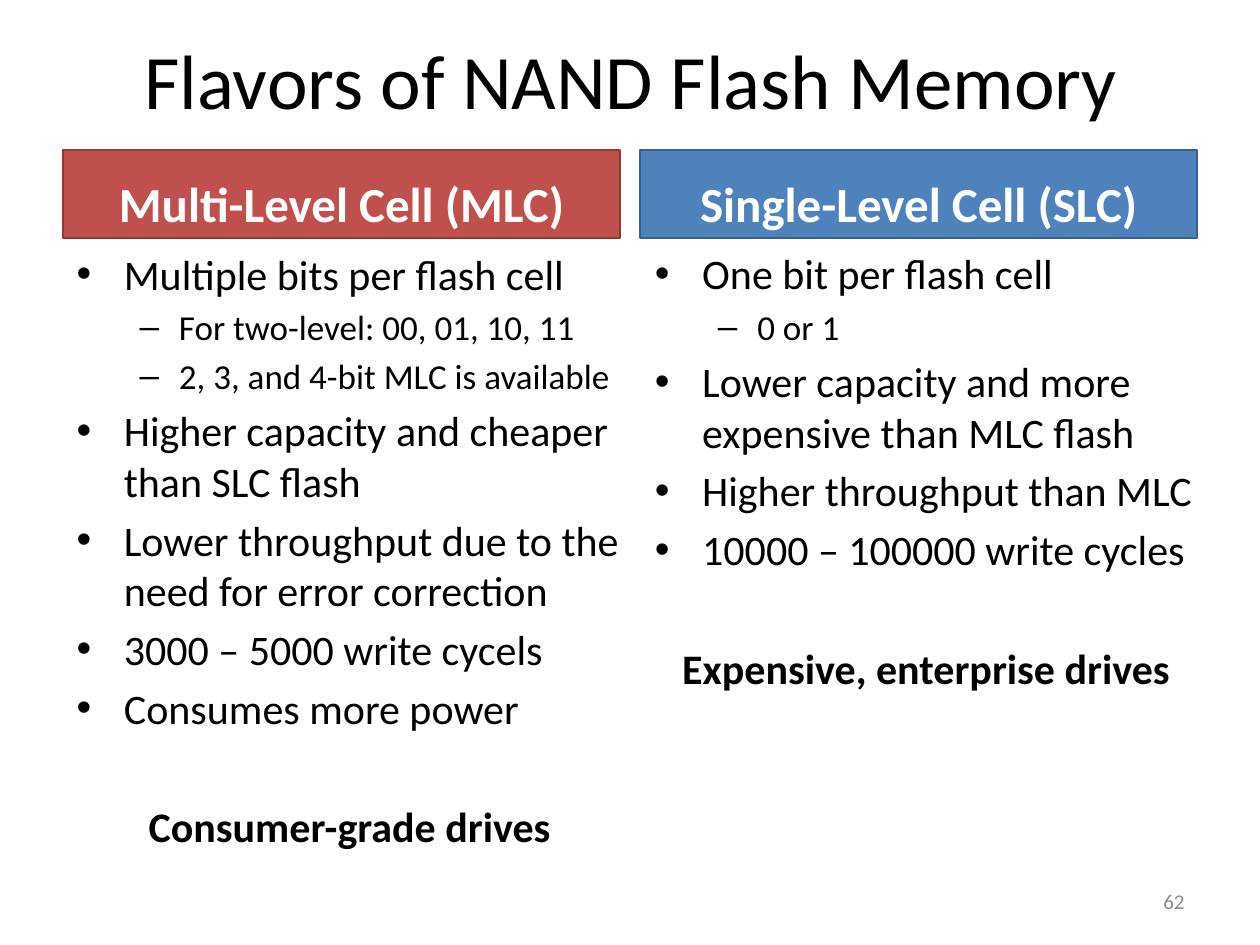
from dataclasses import dataclass

from lxml.etree import SubElement
from pptx import Presentation
from pptx.dml.color import RGBColor
from pptx.enum.shapes import MSO_SHAPE
from pptx.enum.text import MSO_ANCHOR, PP_ALIGN
from pptx.oxml.ns import qn
from pptx.util import Pt

FONT_NAME = "Calibri"
BLACK = RGBColor(0x00, 0x00, 0x00)
WHITE = RGBColor(0xFF, 0xFF, 0xFF)
GRAY = RGBColor(0x8C, 0x8C, 0x8C)
RED = RGBColor(0xC0, 0x50, 0x4D)
DARK_RED = RGBColor(0x95, 0x37, 0x35)
BLUE = RGBColor(0x4F, 0x81, 0xBD)
DARK_BLUE = RGBColor(0x37, 0x60, 0x92)

SPACING_RATIO = 0.2
VERDICT_GAP = 38.9


@dataclass(frozen=True)
class Box:
    left: float
    top: float
    width: float
    height: float

    def lengths(self):
        return Pt(self.left), Pt(self.top), Pt(self.width), Pt(self.height)


@dataclass(frozen=True)
class BulletLevel:
    character: str
    size: float
    margin: float
    hanging: float


@dataclass(frozen=True)
class Column:
    heading: str
    heading_box: Box
    fill: RGBColor
    line: RGBColor
    body_box: Box
    points: tuple[tuple[int, str], ...]
    verdict: str


LEVELS = (BulletLevel("•", 24, 27, 27), BulletLevel("–", 20, 58.5, 22.5))

COLUMNS = (
    Column(
        "Multi-Level Cell (MLC)", Box(36, 85.7, 318.25, 50.4), RED, DARK_RED,
        Box(36.7, 138.2, 326.2, 368.6),
        (
            (0, "Multiple bits per flash cell"),
            (1, "For two-level: 00, 01, 10, 11"),
            (1, "2, 3, and 4-bit MLC is available"),
            (0, "Higher capacity and cheaper than SLC flash"),
            (0, "Lower throughput due to the need for error correction"),
            (0, "3000 – 5000 write cycels"),
            (0, "Consumes more power"),
        ),
        "Consumer-grade drives",
    ),
    Column(
        "Single-Level Cell (SLC)", Box(365.75, 85.7, 318.25, 50.4), BLUE, DARK_BLUE,
        Box(367.2, 138.2, 324, 352),
        (
            (0, "One bit per flash cell"),
            (1, "0 or 1"),
            (0, "Lower capacity and more expensive than MLC flash"),
            (0, "Higher throughput than MLC"),
            (0, "10000 – 100000 write cycles"),
        ),
        "Expensive, enterprise drives",
    ),
)


def write_paragraph(paragraph, text: str, size: float, color: RGBColor = BLACK,
                    alignment: PP_ALIGN = PP_ALIGN.LEFT, bold: bool = False,
                    space_before: float = 0) -> None:
    paragraph.text = text
    paragraph.alignment = alignment
    paragraph.space_before = Pt(space_before)
    font = paragraph.font
    font.name = FONT_NAME
    font.size = Pt(size)
    font.bold = bold
    font.color.rgb = color


def set_bullet(paragraph, level: BulletLevel) -> None:
    properties = paragraph._p.get_or_add_pPr()
    properties.set("marL", str(Pt(level.margin)))
    properties.set("indent", str(-Pt(level.hanging)))
    bullet_font = SubElement(properties, qn("a:buFont"))
    bullet_font.set("typeface", "Arial")
    SubElement(properties, qn("a:buChar")).set("char", level.character)
    # The schema wants the default run properties after the bullet.
    properties.append(properties.find(qn("a:defRPr")))


def add_text_frame(slide, box: Box, anchor: MSO_ANCHOR):
    text_frame = slide.shapes.add_textbox(*box.lengths()).text_frame
    text_frame.word_wrap = True
    text_frame.vertical_anchor = anchor
    return text_frame


def add_heading(slide, column: Column) -> None:
    shape = slide.shapes.add_shape(MSO_SHAPE.RECTANGLE, *column.heading_box.lengths())
    shape.shadow.inherit = False
    shape.fill.solid()
    shape.fill.fore_color.rgb = column.fill
    shape.line.color.rgb = column.line
    shape.line.width = Pt(0.75)
    shape.text_frame.word_wrap = True
    shape.text_frame.vertical_anchor = MSO_ANCHOR.BOTTOM
    write_paragraph(shape.text_frame.paragraphs[0], column.heading, 28, WHITE,
                    PP_ALIGN.CENTER, True, 28 * SPACING_RATIO)


def add_body(slide, column: Column) -> None:
    text_frame = add_text_frame(slide, column.body_box, MSO_ANCHOR.TOP)
    paragraph = text_frame.paragraphs[0]
    for depth, text in column.points:
        level = LEVELS[depth]
        write_paragraph(paragraph, text, level.size,
                        space_before=level.size * SPACING_RATIO)
        paragraph.level = depth
        set_bullet(paragraph, level)
        paragraph = text_frame.add_paragraph()
    write_paragraph(paragraph, column.verdict, 24, alignment=PP_ALIGN.CENTER,
                    bold=True, space_before=VERDICT_GAP)


def main() -> None:
    presentation = Presentation()
    presentation.slide_width = Pt(720)
    presentation.slide_height = Pt(540)
    slide = presentation.slides.add_slide(presentation.slide_layouts[6])

    title = add_text_frame(slide, Box(36.7, 0, 648, 90), MSO_ANCHOR.MIDDLE)
    write_paragraph(title.paragraphs[0], "Flavors of NAND Flash Memory", 44,
                    alignment=PP_ALIGN.CENTER)
    for column in COLUMNS:
        add_heading(slide, column)
        add_body(slide, column)
    page_number = add_text_frame(slide, Box(516, 500.5, 168, 28.75), MSO_ANCHOR.MIDDLE)
    write_paragraph(page_number.paragraphs[0], "62", 12, GRAY, PP_ALIGN.RIGHT)

    presentation.save("out.pptx")


if __name__ == "__main__":
    main()
